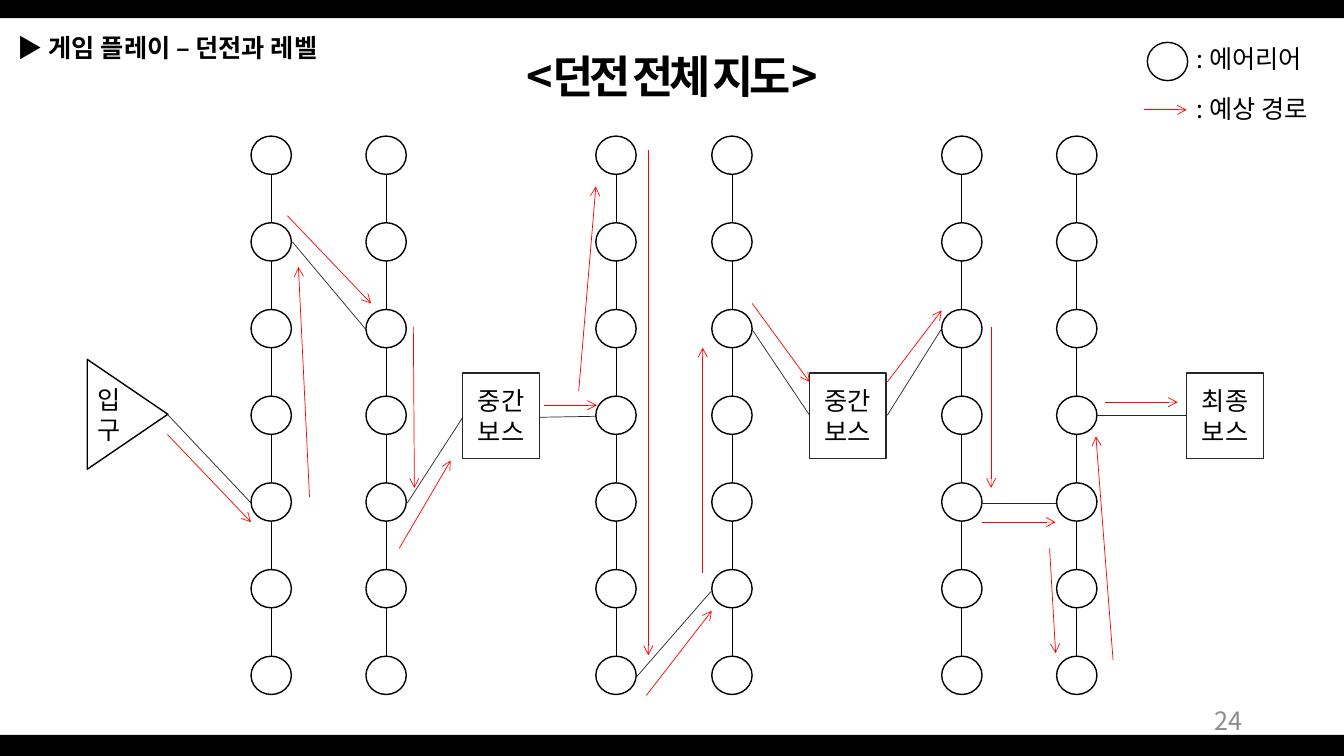
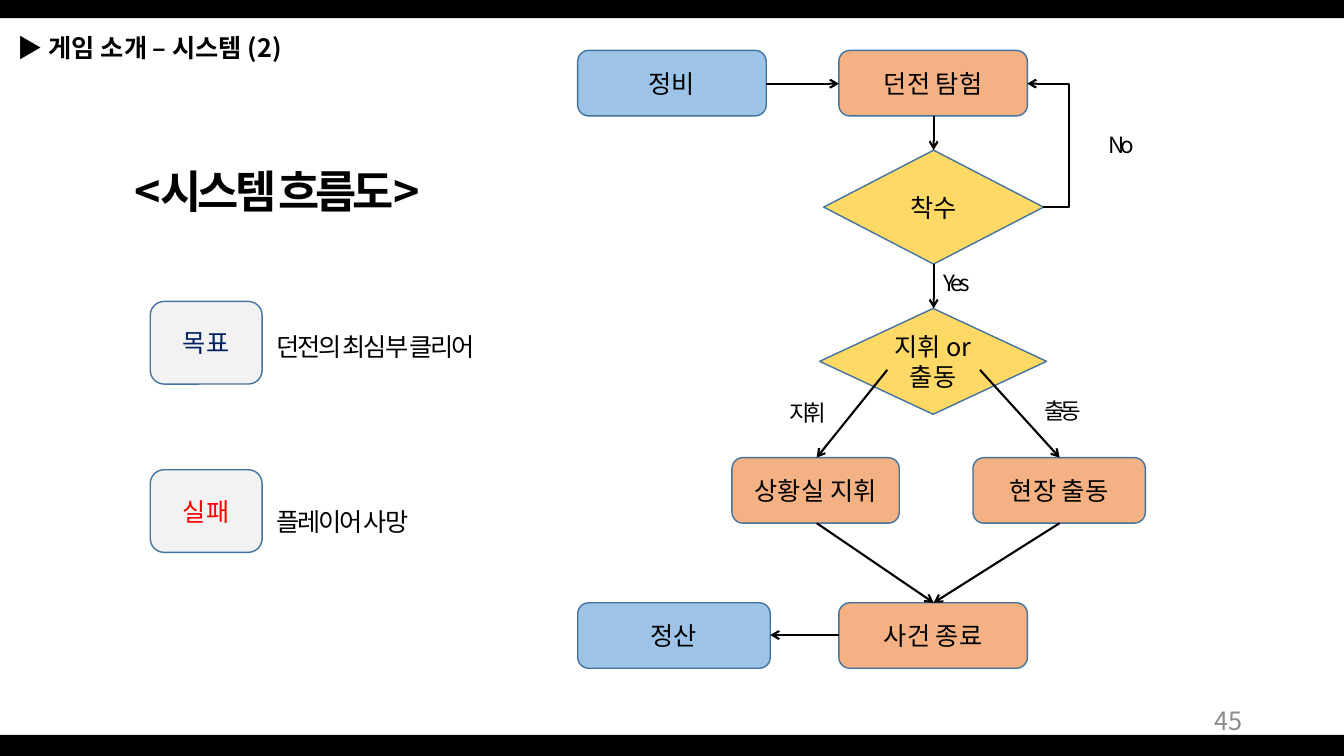
from lxml import etree
from pptx import Presentation, util as u
from pptx.dml import color as col
from pptx.enum import shapes as sh, text as tx
from pptx.oxml import ns

HUES = {
    "black": "000000", "white": "FFFFFF", "dark": "262626", "gray": "8C8C8C",
    "pale": "F2F2F2", "red": "FF0000", "navy": "002060", "edge": "43739E",
    "blue": "9DC3E6", "peach": "F4B183", "gold": "FFD966",
}
FONT = "Noto Sans CJK KR"
KIND = sh.MSO_SHAPE
ALIGN = tx.PP_ALIGN
TOP, MID = tx.MSO_ANCHOR.TOP, tx.MSO_ANCHOR.MIDDLE


def hue(name):
    return col.RGBColor.from_string(HUES[name])


def inch(vals):
    return [u.Inches(val) for val in vals]


def sub(node, tag, **vals):
    item = etree.SubElement(node, ns.qn(tag))
    for key, val in vals.items():
        item.set(key, val)


class Deck:
    base = {"size": 18, "bold": False}
    lead = {"size": 32, "bold": True}
    note = {"size": 16}

    def __init__(self):
        self.file = Presentation()
        self.file.slide_width, self.file.slide_height = inch((13.33, 7.5))

    def page(self, head, title, spot, num):
        self.slide = self.file.slides.add_slide(self.file.slide_layouts[5])
        for top, high in ((0, 0.18), (7.29, 0.21)):
            self.shape(KIND.RECTANGLE, (0, top, 13.33, high), fill="black", edge=None)
        self.label((0.08, 0.27, 4.13, 0.4), "▶ ", head)
        self.label((9.42, 6.95, 3, 0.4), num, ink="gray", align=ALIGN.RIGHT, anchor=MID)
        name = self.slide.shapes.title
        name.left, name.top, name.width, name.height = inch(spot)
        self.fill(name.text_frame, title, form=self.lead, gap=-3, align=ALIGN.CENTER)

    def fill(self, frame, words, bold="", form=None, ink="black", gap=0,
             align=ALIGN.LEFT, anchor=TOP, space=1):
        frame.word_wrap = True
        frame.auto_size = tx.MSO_AUTO_SIZE.NONE
        frame.vertical_anchor = anchor
        frame.text = words
        if bold:
            frame.paragraphs[0].add_run().text = bold
        for para in frame.paragraphs:
            para.alignment = align
            para.line_spacing = space
            for run in para.runs:
                look = {**self.base, **(form or {}), "name": FONT}
                if bold and run.text == bold:
                    look["bold"] = True
                look["size"] = u.Pt(look["size"])
                for key, val in look.items():
                    setattr(run.font, key, val)
                run.font.color.rgb = hue(ink)
                props = run._r.get_or_add_rPr()
                props.set("spc", str(int(gap * 100)))
                sub(props, "a:ea", typeface=FONT)

    def label(self, spot, words, bold="", **form):
        box = self.slide.shapes.add_textbox(*inch(spot))
        self.fill(box.text_frame, words, bold, **form)

    def shape(self, kind, spot, words="", fill="white", edge="black", ink="black"):
        item = self.slide.shapes.add_shape(kind, *inch(spot))
        item.shadow.inherit = False
        item.fill.solid()
        item.fill.fore_color.rgb = hue(fill)
        if edge:
            item.line.color.rgb = hue(edge)
            item.line.width = u.Pt(1)
        else:
            item.line.fill.background()
        if words:
            self.fill(item.text_frame, words, ink=ink, align=ALIGN.CENTER, anchor=MID)
        return item

    def wire(self, ends, ink="black", width=0.5, tip=False, bend=None):
        kind = sh.MSO_CONNECTOR.STRAIGHT if bend is None else sh.MSO_CONNECTOR.ELBOW
        item = self.slide.shapes.add_connector(kind, *inch(ends))
        item.line.color.rgb = hue(ink)
        item.line.width = u.Pt(width)
        props = item._element.spPr
        if tip:
            sub(props.find(ns.qn("a:ln")), "a:tailEnd", type="arrow")
        if bend is not None:
            geom = props.find(ns.qn("a:prstGeom"))
            sub(geom.find(ns.qn("a:avLst")), "a:gd", name="adj1", fmla=f"val {bend}")
        sub(props, "a:effectLst")


def chart_map(deck):
    deck.page("게임 플레이 – 던전과 레벨", "<던전 전체 지도>", (4.72, 0.43, 3.89, 0.64), "24")
    wide, high, first, step = 0.4, 0.38, 1.35, 0.86
    for left in (2.49, 3.63, 5.91, 7.06, 9.34, 10.48):
        mid = left + wide / 2
        deck.wire((mid, first + high, mid, first + 6 * step))
        for row in range(7):
            deck.shape(KIND.OVAL, (left, first + row * step, wide, high))

    gate = deck.shape(KIND.ISOSCELES_TRIANGLE, (0.72, 3.71, 1.09, 0.8), "입구")
    gate.rotation = 90
    gate.text_frame._txBody.bodyPr.set("vert", "vert270")
    for left, words in ((4.59, "중간\n보스"), (8.03, "중간\n보스"), (11.77, "최종\n보스")):
        deck.shape(KIND.RECTANGLE, (left, 3.7, 0.76, 0.85), words, edge="dark")

    links = (
        (1.66, 4.11, 2.49, 4.99), (2.9, 2.4, 3.63, 3.27), (4.04, 4.99, 4.59, 4.14),
        (5.35, 4.14, 5.91, 4.13), (6.3, 6.73, 7.05, 5.87), (7.46, 3.27, 8.03, 4.12),
        (9.34, 3.26, 8.8, 4.12), (10.47, 4.99, 9.73, 4.99), (11.77, 4.12, 10.87, 4.12),
    )
    for ends in links:
        deck.wire(ends, "dark")

    route = (
        (1.66, 4.31, 2.49, 5.18), (3.07, 4.93, 2.96, 2.65), (2.85, 2.14, 3.68, 3.01),
        (4.1, 3.24, 4.11, 4.84), (3.96, 5.44, 4.47, 4.57), (5.4, 4.02, 5.92, 4.02),
        (5.74, 3.88, 5.91, 1.85), (6.43, 1.49, 6.43, 6.5), (6.41, 6.9, 7.06, 6.06),
        (6.97, 5.68, 6.97, 3.45), (7.46, 3.01, 8.03, 3.79), (8.8, 3.79, 9.34, 3.08),
        (9.83, 3.24, 9.83, 4.84), (9.74, 5.18, 10.47, 5.18), (10.41, 5.44, 10.47, 6.48),
        (11.04, 6.55, 10.87, 4.33), (10.96, 3.99, 11.68, 3.99), (11.35, 1.09, 11.77, 1.09),
    )
    for ends in route:
        deck.wire(ends, "red", tip=True)

    deck.shape(KIND.OVAL, (11.38, 0.42, wide, high))
    for top, words in ((0.38, ": 에어리어"), (0.88, ": 예상 경로")):
        deck.label((11.77, top, 1.5, 0.4), words)


def flow(deck):
    deck.page("게임 소개 – 시스템 (2)", "<시스템 흐름도>", (1.02, 1.57, 3.46, 0.64), "45")
    steps = (
        (5.73, 0.5, 1.87, "정비", "blue"), (8.32, 0.5, 1.87, "던전 탐험", "peach"),
        (7.26, 4.54, 1.66, "상황실 지휘", "peach"), (9.65, 4.54, 1.71, "현장 출동", "peach"),
        (5.73, 5.98, 1.91, "정산", "blue"), (8.32, 5.98, 1.87, "사건 종료", "peach"),
    )
    for left, top, wide, words, fill in steps:
        deck.shape(KIND.ROUNDED_RECTANGLE, (left, top, wide, 0.65), words, fill, "edge")
    for spot, words in (((8.17, 1.49, 2.18, 1.13), "착수"),
                        ((8.13, 3.06, 2.25, 1.05), "지휘 or 출동")):
        deck.shape(KIND.DIAMOND, spot, words, "gold", "edge")

    paths = (
        (7.6, 0.83, 8.32, 0.83), (9.26, 1.15, 9.26, 1.49), (9.26, 2.62, 9.26, 3.06),
        (8.8, 3.67, 8.1, 4.54), (9.72, 3.67, 10.51, 4.54), (8.1, 5.19, 9.26, 5.98),
        (10.51, 5.19, 9.26, 5.98), (8.32, 6.3, 7.64, 6.3),
    )
    for ends in paths:
        deck.wire(ends, width=1.5, tip=True)
    deck.wire((10.35, 2.05, 10.19, 0.83), width=1.5, tip=True, bend=-160400)

    for left, top, words, gap in ((9.12, 2.62, "Yes", -2.4), (10.75, 1.25, "No", -2.4),
                                  (7.64, 3.91, "지휘", -3), (10.17, 3.89, "출동", -3)):
        deck.label((left, top, 0.74, 0.37), words, form=deck.note, gap=gap, align=ALIGN.CENTER)

    for top, words, ink, line, text in (
            (2.99, "목표", "navy", 3.09, "던전의 최심부 클리어"),
            (4.66, "실패", "red", 4.82, "플레이어 사망")):
        deck.shape(KIND.ROUNDED_RECTANGLE, (1.49, top, 1.11, 0.82), words, "pale", "edge", ink)
        deck.label((2.64, line, 2.57, 0.5), text, gap=-1.5, space=1.5)


def main():
    deck = Deck()
    chart_map(deck)
    flow(deck)
    deck.file.save("out.pptx")


if __name__ == "__main__":
    main()
